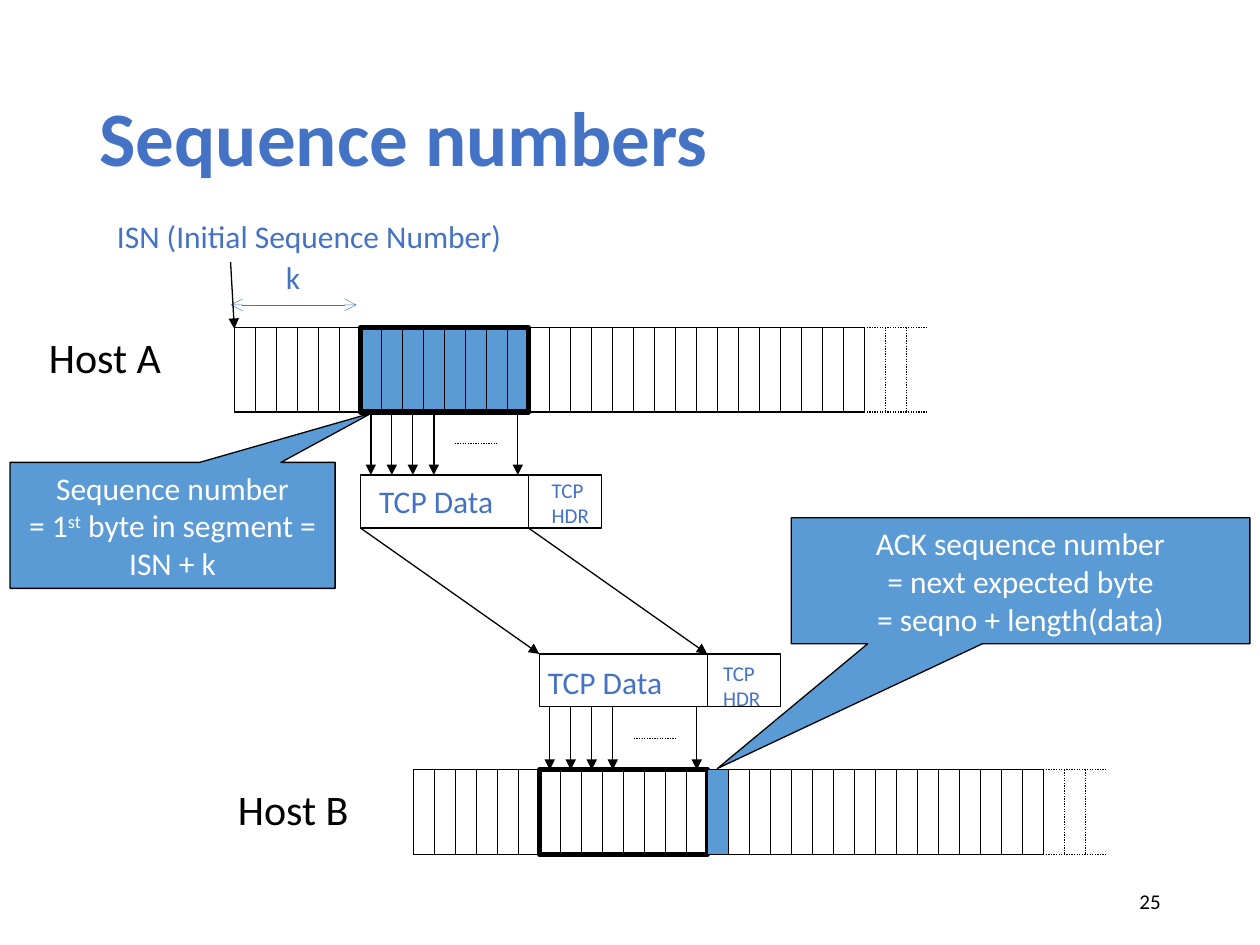
from dataclasses import dataclass

from pptx import Presentation
from pptx.dml.color import RGBColor
from pptx.enum.dml import MSO_LINE
from pptx.enum.shapes import MSO_CONNECTOR, MSO_SHAPE
from pptx.enum.text import MSO_ANCHOR, PP_ALIGN
from pptx.oxml.ns import qn
from pptx.util import Inches, Pt
from lxml.etree import SubElement


@dataclass(frozen=True)
class Theme:
    font: str = "Calibri"
    ink: str = "000000"
    blue: str = "4472C4"
    fill: str = "5B9BD5"
    white: str = "FFFFFF"
    title: int = 44
    host: int = 24
    body: int = 18
    small: int = 12
    thin: float = 0.75
    thick: float = 3


T = Theme()
TITLE = "Sequence numbers"

# Byte streams: cells are counted from the left end of each stream
CELL, TALL = 1 / 6, 0.67
SOLID, TOTAL = 30, 33
START, COUNT = 6, 8
ARROWS, GAP = (0, 1, 2, 3, 7), (4.5, 6.5)
STREAMS = {
    "A": dict(x=1.86, y=2.6, fill=T.fill),
    "B": dict(x=3.28, y=6.11, fill=None),
}
# Packets: top of the box, and the vertical span of the byte arrows
PACK_H, HDR_W, DATA_W = 0.42, 0.58, COUNT * CELL
PACKETS = {
    "A": dict(y=3.77, span=(3.27, 3.77), data=(2.91, 3.78), hdr=(4.28, 3.74)),
    "B": dict(y=5.19, span=(5.61, 6.11), data=(4.25, 5.21), hdr=(5.64, 5.19)),
}
# Text, box, size, colour
LABELS = [
    (["Host A"], (0.29, 2.58, 1.2, 0.5), T.host, T.ink),
    (["Host B"], (1.79, 6.17, 1.21, 0.5), T.host, T.ink),
    (["ISN (Initial Sequence Number)"], (0.83, 1.67, 3.29, 0.4), T.body, T.blue),
    (["k"], (2.17, 2, 0.32, 0.4), T.body, T.blue),
]
# Lines as runs of (text, raised), box, pointer
CALLOUTS = [
    ([[("ACK sequence number", 0)], [("= next expected byte", 0)],
      [("= seqno + length(data)", 0)]],
     (6.28, 4.11, 3.64, 1), (-0.661, 1.49)),
    ([[("Sequence number\v= 1", 0), ("st", 30),
       (" byte in segment = ISN + k", 0)]],
     (0.08, 3.67, 2.58, 1), (0.612, -0.891)),
]
NUMBER = ("25", (7.06, 6.95, 2.25, 0.4))


def paint(obj, **values):
    for name, value in values.items():
        setattr(obj, name, value)


def style(font, size, color, **more):
    paint(font, name=T.font, size=Pt(size), **more)
    font.color.rgb = RGBColor.from_string(color)


def stroke(line, color=T.ink, width=T.thin):
    line.color.rgb = RGBColor.from_string(color)
    line.width = Pt(width)


def link(shapes, a, b, color=T.ink, width=T.thin, dots=False, **ends):
    """Draw a line from a to b; ends may hold headEnd and tailEnd types."""
    points = [Inches(v) for v in (*a, *b)]
    wire = shapes.add_connector(MSO_CONNECTOR.STRAIGHT, *points)
    stroke(wire.line, color, width)
    if dots:
        wire.line.dash_style = MSO_LINE.ROUND_DOT
    props = wire._element.spPr
    for tag, kind in ends.items():
        SubElement(props.find(qn("a:ln")), qn("a:" + tag), type=kind)
    SubElement(props, qn("a:effectLst"))


def block(shapes, box, fill, width=T.thin, kind=MSO_SHAPE.RECTANGLE):
    shape = shapes.add_shape(kind, *map(Inches, box))
    shape.shadow.inherit = False
    if fill:
        shape.fill.solid()
        shape.fill.fore_color.rgb = RGBColor.from_string(fill)
    else:
        shape.fill.background()
    stroke(shape.line, width=width)
    return shape


def write(shapes, lines, box, size, color, wrap=False, align=PP_ALIGN.LEFT,
          anchor=MSO_ANCHOR.TOP):
    frame = shapes.add_textbox(*map(Inches, box)).text_frame
    paint(frame, word_wrap=wrap, vertical_anchor=anchor, text="\n".join(lines))
    for para in frame.paragraphs:
        para.alignment = align
        style(para.font, size, color)


def stream(shapes, x, y, fill):
    low, edge, end = y + TALL, x + SOLID * CELL, x + TOTAL * CELL
    block(shapes, (x + START * CELL, y, DATA_W, TALL), fill, T.thick)
    for row in (y, low):
        link(shapes, (x, row), (edge, row))
        link(shapes, (end, row), (edge, row), dots=True)
    for i in range(TOTAL):
        at = x + i * CELL
        link(shapes, (at, y), (at, low), dots=i > SOLID)


def packet(shapes, x, y, span, data, hdr):
    """Draw data and header boxes with the arrows that carry the bytes."""
    block(shapes, (x, y, DATA_W, PACK_H), T.white)
    block(shapes, (x + DATA_W, y, HDR_W, PACK_H), T.white)
    write(shapes, ["TCP Data"], (*data, 1.12, 0.4), T.body, T.blue)
    write(shapes, ["TCP", "HDR"], (*hdr, 0.5, 0.5), T.small, T.blue)
    top, low = span
    for i in ARROWS:
        at = x + (i + 0.5) * CELL
        link(shapes, (at, top), (at, low), tailEnd="triangle")
    mid = (top + low) / 2
    link(shapes, *[(x + g * CELL, mid) for g in GAP], dots=True)


def callout(shapes, lines, box, tip):
    shape = block(shapes, box, T.fill, kind=MSO_SHAPE.RECTANGULAR_CALLOUT)
    for i, value in enumerate(tip):
        shape.adjustments[i] = value
    frame = shape.text_frame
    paint(frame, word_wrap=True, vertical_anchor=MSO_ANCHOR.TOP)
    for i, runs in enumerate(lines):
        para = frame.add_paragraph() if i else frame.paragraphs[0]
        para.alignment = PP_ALIGN.CENTER
        for text, rise in runs:
            for j, part in enumerate(text.split("\v")):
                if j:
                    para.add_line_break()
                run = para.add_run()
                run.text = part
                style(run.font, T.body, T.white)
                if rise:
                    run.font._element.set("baseline", str(rise * 1000))


def heading(shape):
    box = dict(zip(("left", "top", "width", "height"),
                   map(Inches, (0.69, 0.4, 8.62, 1.45))))
    paint(shape, **box)
    paint(shape.text_frame, text=TITLE, vertical_anchor=MSO_ANCHOR.MIDDLE)
    para = shape.text_frame.paragraphs[0]
    paint(para, alignment=PP_ALIGN.LEFT, line_spacing=0.9)
    style(para.runs[0].font, T.title, T.blue, bold=True)


def main():
    deck = Presentation()
    paint(deck, slide_width=Inches(10), slide_height=Inches(7.5))
    shapes = deck.slides.add_slide(deck.slide_layouts[5]).shapes
    heading(shapes.title)

    starts = {}
    for host, row in STREAMS.items():
        stream(shapes, **row)
        starts[host] = row["x"] + START * CELL
    for host, pack in PACKETS.items():
        packet(shapes, starts[host], **pack)
    for shift in (0, DATA_W):
        link(shapes, (starts["A"] + shift, PACKETS["A"]["y"] + PACK_H),
             (starts["B"] + shift, PACKETS["B"]["y"]), tailEnd="triangle")

    for item in CALLOUTS:
        callout(shapes, *item)
    block(shapes, (starts["B"] + DATA_W, STREAMS["B"]["y"], CELL, TALL), T.fill)
    for item in LABELS:
        write(shapes, *item)
    link(shapes, (1.83, 2.42), (2.83, 2.42), T.blue, 0.25,
         headEnd="arrow", tailEnd="arrow")
    link(shapes, (1.83, 2.08), (1.86, 2.61), tailEnd="triangle")
    text, box = NUMBER
    write(shapes, [text], box, T.small, T.ink, True, PP_ALIGN.RIGHT,
          MSO_ANCHOR.MIDDLE)
    deck.save("out.pptx")


if __name__ == "__main__":
    main()
